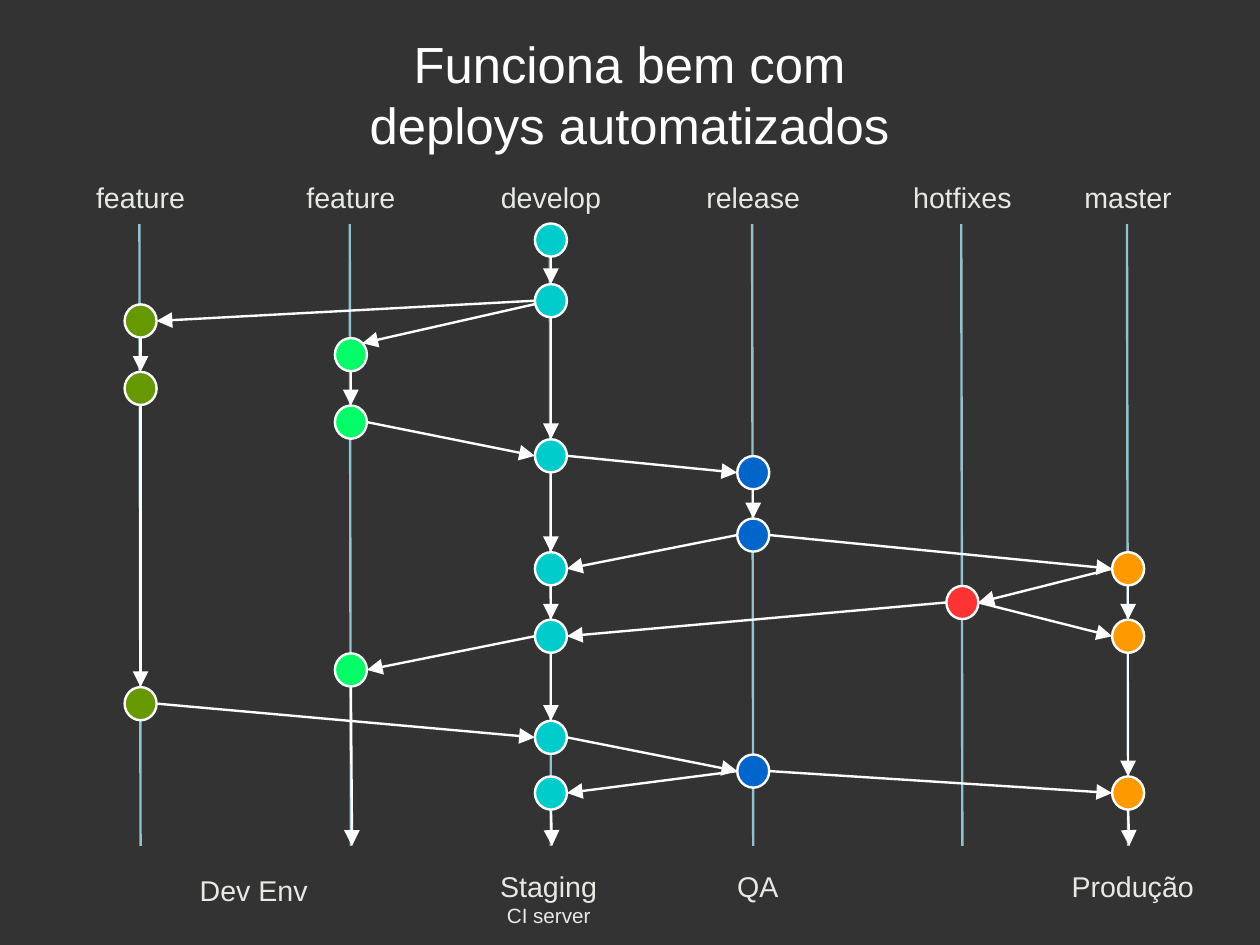
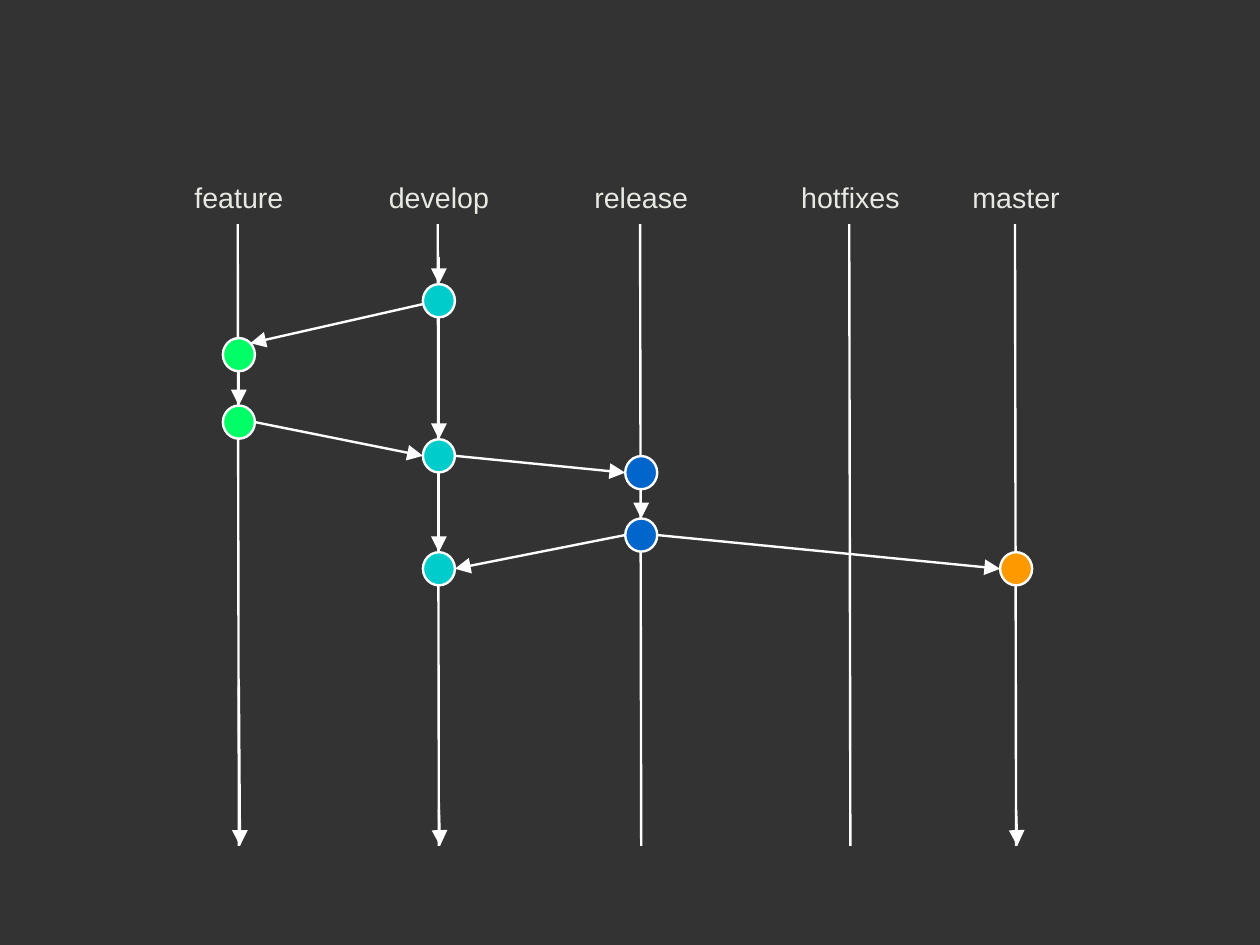
from lxml import etree
from pptx import Presentation
from pptx.dml.color import RGBColor
from pptx.enum.shapes import MSO_CONNECTOR, MSO_SHAPE
from pptx.enum.text import MSO_ANCHOR, PP_ALIGN
from pptx.oxml.ns import qn
from pptx.util import Cm, Inches, Pt

STRAIGHT = MSO_CONNECTOR.STRAIGHT
CIRCLE = MSO_SHAPE.FLOWCHART_CONNECTOR
TOP, MIDDLE = MSO_ANCHOR.TOP, MSO_ANCHOR.MIDDLE
CENTER = PP_ALIGN.CENTER

COLORS = {
    "background": "333333", "white": "FFFFFF", "label": "E7EAE3",
    "lane": "91C1CD", "olive": "669900", "green": "00FF66",
    "cyan": "00CCCC", "blue": "0066CC", "red": "FF3333", "orange": "FF9900",
}
FONT = "Arial"

# Grid: lanes are columns, commits sit on rows (inches)
LANE_TOP, LANE_END, LANE_LEAN = 1.96, 7.4, 0.01
FIRST_ROW, ROW_H = 2.1, 0.295
NODE_W, NODE_H = 0.28, 0.29
LABEL_W, LABEL_H, LABEL_TOP = 1.44, 0.49, 1.47

LANES = {  # key: label, column centre, commit colour
    "feature 1": ("feature", 1.23, "olive"),
    "feature 2": ("feature", 3.07, "green"),
    "develop": ("develop", 4.82, "cyan"),
    "release": ("release", 6.59, "blue"),
    "hotfixes": ("hotfixes", 8.42, "red"),
    "master": ("master", 9.87, "orange"),
}
# Rows from which an arrow runs to the end of the lane
EXITS = {"feature 2": 12.75, "develop": 16.4, "master": 16.4}

# Links between lanes, drawn where both commits exist
LINKS = [
    (("develop", 1.8), ("feature 1", 2.4)),
    (("develop", 1.8), ("feature 2", 3.4)),
    (("feature 2", 5.4), ("develop", 6.4)),
    (("develop", 6.4), ("release", 6.9)),
    (("release", 8.75), ("develop", 9.75)),
    (("release", 8.75), ("master", 9.75)),
    (("master", 9.75), ("hotfixes", 10.75)),
    (("hotfixes", 10.75), ("master", 11.75)),
    (("hotfixes", 10.75), ("develop", 11.75)),
    (("develop", 11.75), ("feature 2", 12.75)),
    (("feature 1", 13.75), ("develop", 14.75)),
    (("develop", 14.75), ("release", 15.75)),
    (("release", 15.75), ("develop", 16.4)),
    (("release", 15.75), ("master", 16.4)),
]

# Each lane holds chains of commit rows; arrows join the rows of a chain
SLIDES = [
    {
        "title": "Funciona bem com\vdeploys automatizados",
        "shift": 0, "lane color": "lane", "hidden": [],
        "chains": {
            "feature 1": [[2.4, 4.4, 13.75]],
            "feature 2": [[3.4, 5.4], [12.75]],
            "develop": [[0, 1.8, 6.4, 9.75, 11.75, 14.75], [16.4]],
            "release": [[6.9, 8.75], [15.75]],
            "hotfixes": [[10.75]],
            "master": [[9.75, 11.75, 16.4]],
        },
        "environments": [  # left, top, name, detail
            (1.5, 7.54, "Dev Env", ""),
            (4.08, 7.5, "Staging", "CI server"),
            (5.91, 7.5, "QA", ""),
            (9.19, 7.5, "Produção", ""),
        ],
    },
    {
        "title": "",
        "shift": -0.98, "lane color": "white", "hidden": [("develop", 0)],
        "chains": {
            "feature 2": [[3.4, 5.4]],
            "develop": [[0, 1.8, 6.4, 9.75]],
            "release": [[6.9, 8.75]],
            "hotfixes": [],
            "master": [[9.75]],
        },
        "environments": [],
    },
]


def add_text(s, box, text, size, color, inset, anchor=TOP):
    tf = s.shapes.add_textbox(*map(Inches, box)).text_frame
    tf.word_wrap = True
    tf.vertical_anchor = anchor
    tf.margin_left = tf.margin_right = Inches(inset)
    tf.margin_top = tf.margin_bottom = Inches(inset)
    p = tf.paragraphs[0]
    p.text = text
    p.alignment = CENTER
    p.font.name, p.font.size = FONT, Pt(size)
    p.font.color.rgb = RGBColor.from_string(COLORS[color])
    return p


def add_line(s, x1, y1, x2, y2, color="white", arrow=True):
    line = s.shapes.add_connector(STRAIGHT, *map(Inches, (x1, y1, x2, y2)))
    line.line.width = Pt(1.5)
    line.line.color.rgb = RGBColor.from_string(COLORS[color])
    if arrow:
        etree.SubElement(line.line._get_or_add_ln(), qn("a:tailEnd"),
                         type="triangle", w="lg", len="lg")
    etree.SubElement(line._element.spPr, qn("a:effectLst"))


prs = Presentation()
prs.slide_width, prs.slide_height = Cm(28), Cm(21)
fill = prs.slide_master.background.fill
fill.solid()
fill.fore_color.rgb = RGBColor.from_string(COLORS["background"])

for page in SLIDES:
    s = prs.slides.add_slide(prs.slide_layouts[6])
    chains = page["chains"]
    center = {lane: LANES[lane][1] + page["shift"] for lane in chains}

    if page["title"]:
        add_text(s, (0.55, 0.13, 9.92, 1.38), page["title"], 32, "white", 0, MIDDLE)

    # Lanes and their names
    for lane, x in center.items():
        add_line(s, x - LANE_LEAN, LANE_TOP, x, LANE_END,
                 page["lane color"], arrow=False)
        add_text(s, (x - LABEL_W / 2, LABEL_TOP, LABEL_W, LABEL_H),
                 LANES[lane][0], 18, "label", 0.1)

    # Commits
    commits = {}
    for lane, lane_chains in chains.items():
        for row in sum(lane_chains, []):
            x, y = center[lane], FIRST_ROW + row * ROW_H
            commits[lane, row] = x, y
            if (lane, row) in page["hidden"]:
                continue
            sp = s.shapes.add_shape(
                CIRCLE, Inches(x - NODE_W / 2), Inches(y - NODE_H / 2),
                Inches(NODE_W), Inches(NODE_H))
            sp.shadow.inherit = False
            sp.fill.solid()
            sp.fill.fore_color.rgb = RGBColor.from_string(COLORS[LANES[lane][2]])
            sp.line.color.rgb = RGBColor.from_string(COLORS["white"])
            sp.line.width = Pt(1.5)

    # Arrows down a lane
    for lane, lane_chains in chains.items():
        x = center[lane]
        for chain in lane_chains:
            for row, next_row in zip(chain, chain[1:]):
                add_line(s, x, commits[lane, row][1] + NODE_H / 2,
                         x, commits[lane, next_row][1] - NODE_H / 2)
        if lane in EXITS:
            exit_top = FIRST_ROW + EXITS[lane] * ROW_H + NODE_H / 2
            add_line(s, x, exit_top, x + LANE_LEAN, LANE_END)

    # Arrows between lanes, steep ones meet the circle at its corner
    for start, end in LINKS:
        if start in commits and end in commits:
            (x1, y1), (x2, y2) = commits[start], commits[end]
            side = NODE_W / 2 if x2 > x1 else -NODE_W / 2
            x1, x2 = x1 + side, x2 - side
            if end[1] - start[1] > 1:
                y1, x2, y2 = y1 + 0.03, x2 - 0.04, y2 - 0.1
            add_line(s, x1, y1, x2, y2)

    # Environments below the lanes
    for left, top, name, detail in page["environments"]:
        p = add_text(s, (left, top, LABEL_W, LABEL_H), name, 18, "label", 0.1)
        if detail:
            p.add_line_break()
            r = p.add_run()
            r.text = detail
            r.font.size = Pt(13)

prs.save("out.pptx")
